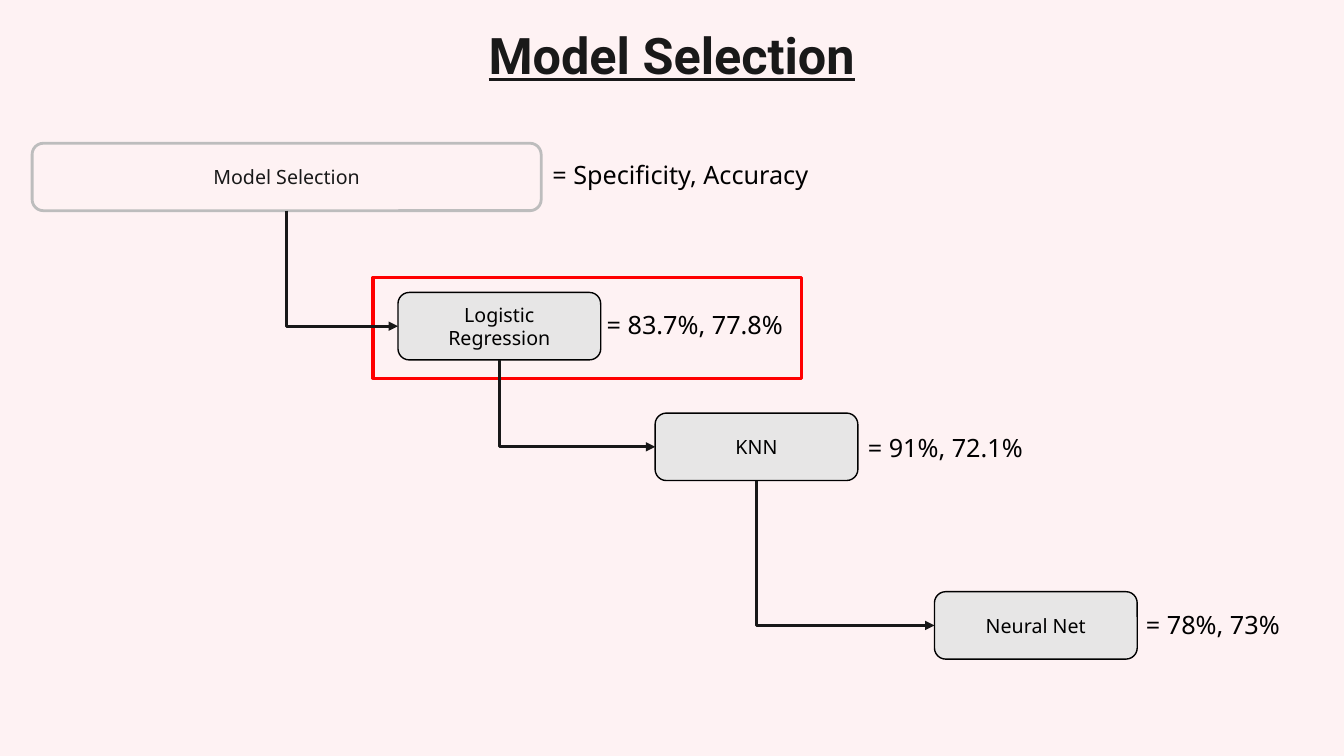
import pptx
import pptx.dml.color
import pptx.enum.shapes
import pptx.enum.text
import pptx.oxml
import pptx.oxml.ns
import pptx.util

Cm, Pt = pptx.util.Cm, pptx.util.Pt
SHAPE = pptx.enum.shapes.MSO_SHAPE
ALIGN = pptx.enum.text.PP_ALIGN

COLORS = {
    "background": "FEF2F3",
    "model": "E7E6E6",
    "root_line": "BDBDBD",
    "highlight": "FF0000",
    "arrow": "181818",
    "heading": "191919",
    "text": "000000",
}
BOX_HEIGHT = 1.7
MODEL_WIDTH = 5.11
# name, box left and top, score, score left, top and width (cm)
MODELS = [
    ("Logistic Regression", 10.03, 7.37, "= 83.7%, 77.8%", 15.04, 7.67, 5.16),
    ("KNN", 16.51, 10.41, "= 91%, 72.1%", 21.62, 10.77, 4.88),
    ("Neural Net", 23.55, 14.91, "= 78%, 73%", 28.63, 15.24, 5.08),
]


def rgb(name):
    return pptx.dml.color.RGBColor.from_string(COLORS[name])


def add_run(p, text, size, color="text", font="Noto Sans"):
    r = p.add_run()
    r.text = text
    r.font.size = Pt(size)
    r.font.name = font
    r.font.color.rgb = rgb(color)
    return r


def add_text(s, text, left, top, width, height=1.02):
    tf = s.shapes.add_textbox(Cm(left), Cm(top), Cm(width), Cm(height)).text_frame
    tf.word_wrap = True
    return tf, add_run(tf.paragraphs[0], text, 18)


def add_title(s, text):
    tf, r = add_text(s, text, 2.64, 0.28, 28.58, 2.13)
    tf.margin_left = tf.margin_right = tf.margin_top = tf.margin_bottom = Cm(0.33)
    tf.paragraphs[0].alignment = ALIGN.CENTER
    r.font.size = Pt(36)
    r.font.name = "Roboto"
    r.font.color.rgb = rgb("heading")
    r.font.bold = r.font.underline = True


def add_outline(s, kind, left, top, width, height, line, weight):
    sp = s.shapes.add_shape(kind, Cm(left), Cm(top), Cm(width), Cm(height))
    sp.shadow.inherit = False
    sp.fill.background()
    sp.line.color.rgb = rgb(line)
    sp.line.width = Pt(weight)
    return sp


def add_box(s, text, left, top, width=MODEL_WIDTH, fill="model",
            line="text", weight=1, color="text"):
    sp = add_outline(s, SHAPE.ROUNDED_RECTANGLE, left, top, width, BOX_HEIGHT, line, weight)
    sp.fill.solid()
    sp.fill.fore_color.rgb = rgb(fill)
    tf = sp.text_frame
    tf.word_wrap = True
    tf.vertical_anchor = pptx.enum.text.MSO_ANCHOR.MIDDLE
    p = tf.paragraphs[0]
    p.alignment = ALIGN.CENTER
    add_run(p, text, 14, color)
    return sp


def add_step_arrow(s, source, target):
    """Lead from the bottom of source down and then right to the side of target."""
    x1, y1 = source.left + source.width // 2, source.top + source.height
    x2, y2 = target.left, target.top + target.height // 2
    cxn = s.shapes.add_connector(pptx.enum.shapes.MSO_CONNECTOR.ELBOW, x1, y1, x2, y2)
    cxn.begin_connect(source, 2)
    cxn.end_connect(target, 1)
    cxn.line.color.rgb = rgb("arrow")
    cxn.line.width = Pt(2.25)

    # A single-bend connector is stored turned by 270 degrees and flipped.
    cxn.width, cxn.height = y2 - y1, x2 - x1
    cxn.left = (x1 + x2 - cxn.width) // 2
    cxn.top = (y1 + y2 - cxn.height) // 2
    qn = pptx.oxml.ns.qn
    props = cxn._element.spPr
    xfrm = props.find(qn("a:xfrm"))
    xfrm.set("rot", "16200000")
    xfrm.set("flipH", "1")
    props.find(qn("a:prstGeom")).set("prst", "bentConnector2")
    ns = pptx.oxml.ns.nsdecls("a")
    props.find(qn("a:ln")).append(pptx.oxml.parse_xml(f'<a:tailEnd {ns} type="triangle"/>'))
    props.append(pptx.oxml.parse_xml(f"<a:effectLst {ns}/>"))


def main():
    prs = pptx.Presentation()
    prs.slide_width, prs.slide_height = Cm(33.87), Cm(19.05)
    s = prs.slides.add_slide(prs.slide_layouts[6])
    s.background.fill.solid()
    s.background.fill.fore_color.rgb = rgb("background")

    add_title(s, "Model Selection")
    previous = add_box(s, "Model Selection", 0.81, 3.61, 12.83, "background",
                       "root_line", 2, "heading")
    add_text(s, "= Specificity, Accuracy", 13.67, 3.89, 10.8)
    add_outline(s, SHAPE.RECTANGLE, 9.4, 6.99, 10.8, 2.54, "highlight", 2.25)

    for name, left, top, score, score_left, score_top, score_width in MODELS:
        box = add_box(s, name, left, top)
        add_text(s, score, score_left, score_top, score_width)
        add_step_arrow(s, previous, box)
        previous = box

    prs.save("out.pptx")


if __name__ == "__main__":
    main()
